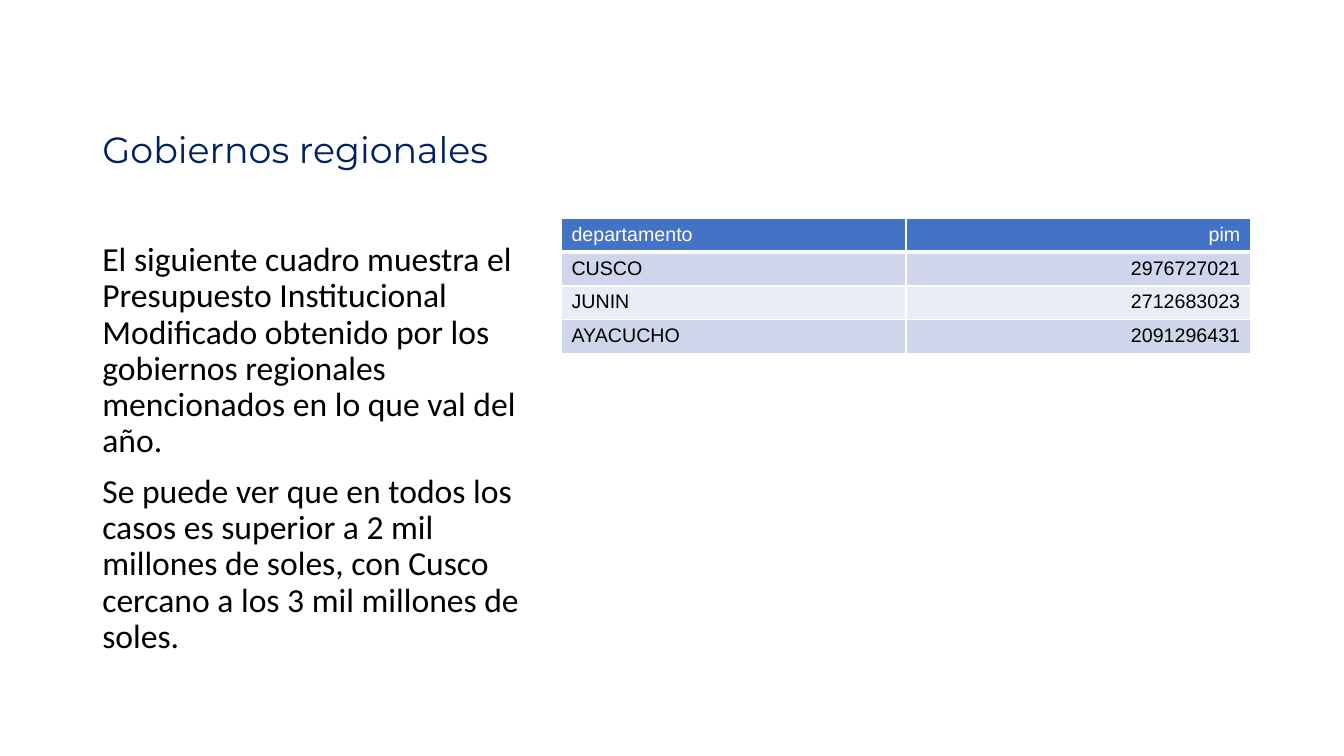
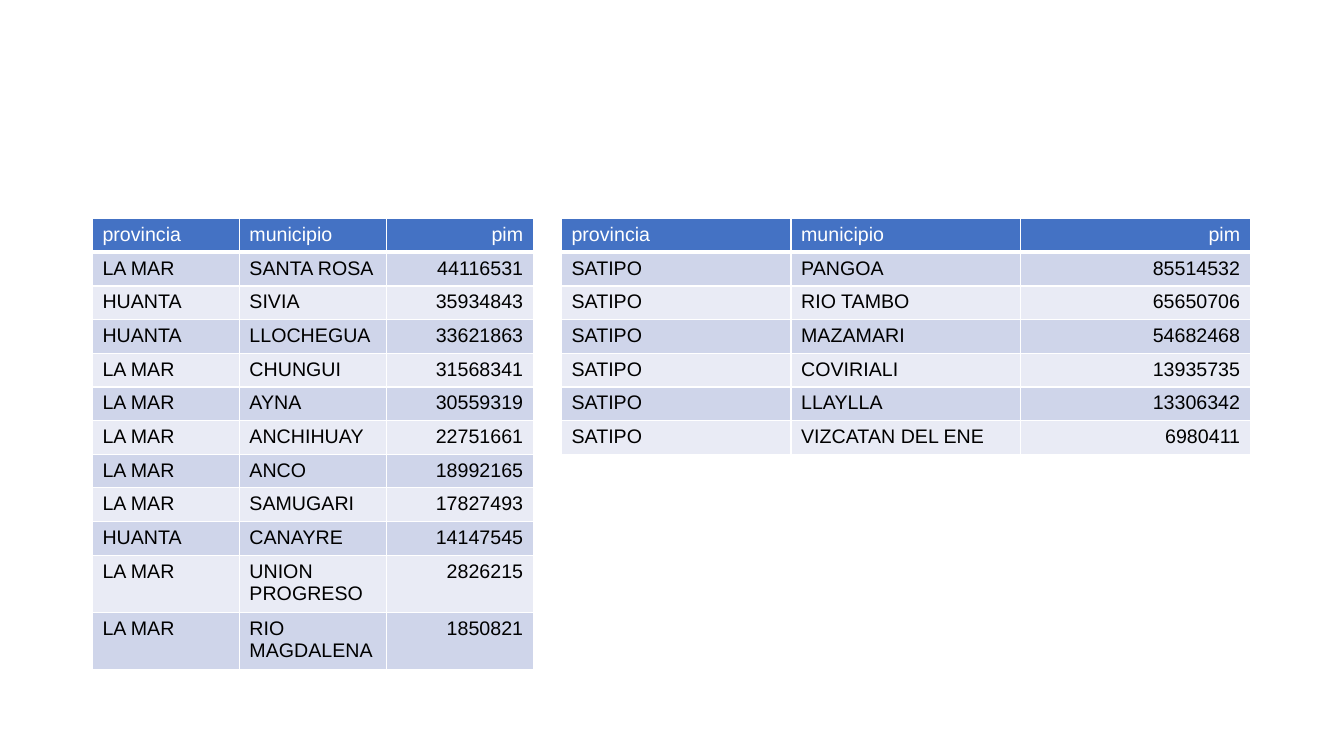
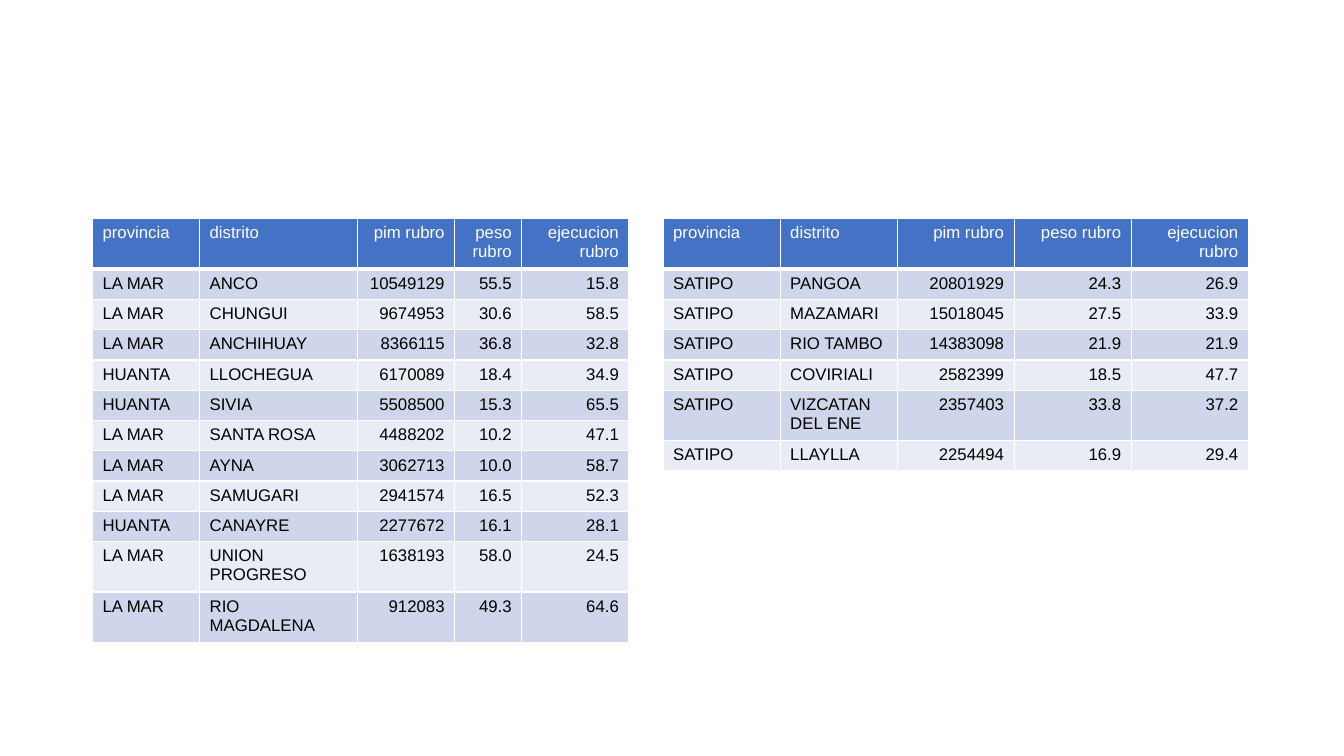
from lxml import etree
from pptx import Presentation
from pptx.dml.color import RGBColor
from pptx.enum.text import MSO_ANCHOR, PP_ALIGN
from pptx.oxml.ns import qn
from pptx.util import Cm, Pt

LEFT, RIGHT = PP_ALIGN.LEFT, PP_ALIGN.RIGHT
MIDDLE = MSO_ANCHOR.MIDDLE

# Shared style
NAVY = RGBColor(0x00, 0x20, 0x60)
BLACK = RGBColor(0x00, 0x00, 0x00)
WHITE = RGBColor(0xFF, 0xFF, 0xFF)
HEADER_BLUE = RGBColor(0x44, 0x72, 0xC4)
BANDS = RGBColor(0xCF, 0xD5, 0xEA), RGBColor(0xE9, 0xEB, 0xF5)
TITLE_FONT, BODY_FONT, TABLE_FONT = "Montserrat", "Calibri", "Arial"
ROW_HEIGHT = {14: 0.8, 12: 0.72}  # cm, by text size
MARGIN, CONTENT_TOP = 2.33, 5.51
SIDE_WIDTH, MAIN_LEFT, MAIN_WIDTH = 11.11, 14.15, 17.36

# Content
TITLE = "Gobiernos regionales"
BODY = [
    "El siguiente cuadro muestra el Presupuesto Institucional Modificado "
    "obtenido por los gobiernos regionales mencionados en lo que val del año.",
    "Se puede ver que en todos los casos es superior a 2 mil millones de soles, "
    "con Cusco cercano a los 3 mil millones de soles.",
]
REGIONS = [
    ("departamento", "pim"),
    ("CUSCO", "2976727021"),
    ("JUNIN", "2712683023"),
    ("AYACUCHO", "2091296431"),
]
BUDGET_HEADER = ("provincia", "municipio", "pim")
AYACUCHO_BUDGET = [
    BUDGET_HEADER,
    ("LA MAR", "SANTA ROSA", "44116531"),
    ("HUANTA", "SIVIA", "35934843"),
    ("HUANTA", "LLOCHEGUA", "33621863"),
    ("LA MAR", "CHUNGUI", "31568341"),
    ("LA MAR", "AYNA", "30559319"),
    ("LA MAR", "ANCHIHUAY", "22751661"),
    ("LA MAR", "ANCO", "18992165"),
    ("LA MAR", "SAMUGARI", "17827493"),
    ("HUANTA", "CANAYRE", "14147545"),
    ("LA MAR", "UNION PROGRESO", "2826215"),
    ("LA MAR", "RIO MAGDALENA", "1850821"),
]
SATIPO_BUDGET = [
    BUDGET_HEADER,
    ("SATIPO", "PANGOA", "85514532"),
    ("SATIPO", "RIO TAMBO", "65650706"),
    ("SATIPO", "MAZAMARI", "54682468"),
    ("SATIPO", "COVIRIALI", "13935735"),
    ("SATIPO", "LLAYLLA", "13306342"),
    ("SATIPO", "VIZCATAN DEL ENE", "6980411"),
]
ITEM_HEADER = ("provincia", "distrito", "pim rubro", "peso rubro", "ejecucion rubro")
AYACUCHO_ITEM = [
    ITEM_HEADER,
    ("LA MAR", "ANCO", "10549129", "55.5", "15.8"),
    ("LA MAR", "CHUNGUI", "9674953", "30.6", "58.5"),
    ("LA MAR", "ANCHIHUAY", "8366115", "36.8", "32.8"),
    ("HUANTA", "LLOCHEGUA", "6170089", "18.4", "34.9"),
    ("HUANTA", "SIVIA", "5508500", "15.3", "65.5"),
    ("LA MAR", "SANTA ROSA", "4488202", "10.2", "47.1"),
    ("LA MAR", "AYNA", "3062713", "10.0", "58.7"),
    ("LA MAR", "SAMUGARI", "2941574", "16.5", "52.3"),
    ("HUANTA", "CANAYRE", "2277672", "16.1", "28.1"),
    ("LA MAR", "UNION PROGRESO", "1638193", "58.0", "24.5"),
    ("LA MAR", "RIO MAGDALENA", "912083", "49.3", "64.6"),
]
SATIPO_ITEM = [
    ITEM_HEADER,
    ("SATIPO", "PANGOA", "20801929", "24.3", "26.9"),
    ("SATIPO", "MAZAMARI", "15018045", "27.5", "33.9"),
    ("SATIPO", "RIO TAMBO", "14383098", "21.9", "21.9"),
    ("SATIPO", "COVIRIALI", "2582399", "18.5", "47.7"),
    ("SATIPO", "VIZCATAN DEL ENE", "2357403", "33.8", "37.2"),
    ("SATIPO", "LLAYLLA", "2254494", "16.9", "29.4"),
]

# One list of tables per slide: rows, left, column widths (cm), text size
SLIDES = [
    [(REGIONS, MAIN_LEFT, [MAIN_WIDTH / 2] * 2, 14)],
    [(AYACUCHO_BUDGET, MARGIN, [SIDE_WIDTH / 3] * 3, 14),
     (SATIPO_BUDGET, MAIN_LEFT, [MAIN_WIDTH / 3] * 3, 14)],
    [(AYACUCHO_ITEM, MARGIN, [2.7, 3.98, 2.45, 1.69, 2.7], 12),
     (SATIPO_ITEM, 16.71, [2.95] * 5, 12)],
]


def write(frame, paragraphs, *, font, size, color, align=LEFT, spacing=None, before=None):
    """Fill a text frame with equally formatted paragraphs."""
    for index, text in enumerate(paragraphs):
        paragraph = frame.paragraphs[0] if index == 0 else frame.add_paragraph()
        paragraph.alignment = align
        paragraph.line_spacing = spacing
        paragraph.space_before = before
        run = paragraph.add_run()
        run.text = text
        run.font.name, run.font.size, run.font.bold = font, Pt(size), False
        run.font.color.rgb = color


def add_text(slide, box, paragraphs, **text_format):
    frame = slide.shapes.add_textbox(*map(Cm, box)).text_frame
    frame.word_wrap = True
    frame.vertical_anchor = MIDDLE
    write(frame, paragraphs, spacing=0.9, **text_format)


def add_borders(cell, bottom):
    """Draw white cell edges, 1 pt except for the bottom one."""
    properties = cell._tc.get_or_add_tcPr()
    for side, width in (("L", 1), ("R", 1), ("T", 1), ("B", bottom)):
        line = etree.SubElement(properties, qn(f"a:ln{side}"), w=str(Pt(width)))
        fill = etree.SubElement(line, qn("a:solidFill"))
        etree.SubElement(fill, qn("a:srgbClr"), val=str(WHITE))


def add_data_table(slide, rows, left, widths, size):
    table = slide.shapes.add_table(
        len(rows), len(widths), Cm(left), Cm(CONTENT_TOP),
        Cm(sum(widths)), Cm(ROW_HEIGHT[size] * len(rows))).table
    table.horz_banding = False
    for column, width in zip(table.columns, widths):
        column.width = Cm(width)
    numeric = [value[0].isdigit() for value in rows[1]]
    for r, row in enumerate(rows):
        is_header = r == 0
        for c, value in enumerate(row):
            cell = table.cell(r, c)
            add_borders(cell, bottom=3 if is_header else 1)
            cell.fill.solid()
            cell.fill.fore_color.rgb = HEADER_BLUE if is_header else BANDS[(r - 1) % 2]
            write(cell.text_frame, [value], font=TABLE_FONT, size=size,
                  color=WHITE if is_header else BLACK,
                  align=RIGHT if numeric[c] else LEFT)


def main():
    deck = Presentation()
    deck.slide_width, deck.slide_height = Cm(33.87), Cm(19.05)
    blank = deck.slide_layouts[6]
    slides = [deck.slides.add_slide(blank) for _ in SLIDES]

    # Title and commentary
    add_text(slides[0], (MARGIN, 2.95, 29.21, 1.75), [TITLE],
             font=TITLE_FONT, size=26, color=NAVY)
    add_text(slides[0], (MARGIN, CONTENT_TOP, SIDE_WIDTH, 11.61), BODY,
             font=BODY_FONT, size=24, color=BLACK, before=Pt(10))

    # Tables
    for slide, tables in zip(slides, SLIDES):
        for table in tables:
            add_data_table(slide, *table)

    deck.save("out.pptx")


if __name__ == "__main__":
    main()
